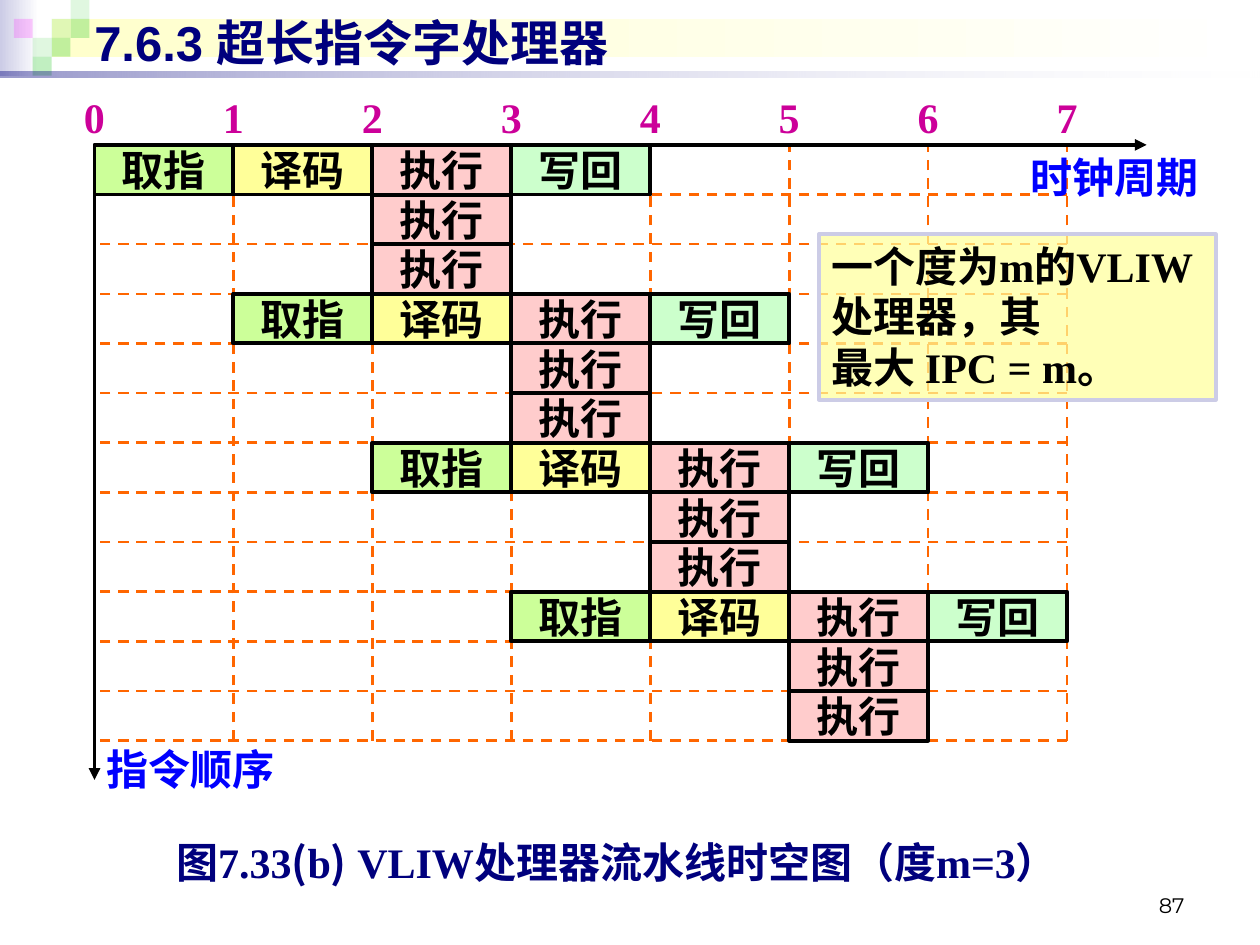
from dataclasses import dataclass

from lxml.etree import SubElement
from pptx import Presentation
from pptx.dml.color import RGBColor
from pptx.enum.dml import MSO_LINE
from pptx.enum.shapes import MSO_CONNECTOR, MSO_SHAPE
from pptx.enum.text import MSO_ANCHOR, PP_ALIGN
from pptx.oxml.ns import qn
from pptx.util import Pt


@dataclass(frozen=True)
class Theme:
    navy: str = "00007D"
    black: str = "000000"
    white: str = "FFFFFF"
    lavender: str = "CCCCE6"
    cream: str = "FFFFCC"
    green: str = "33CC33"
    magenta: str = "FF00FF"
    grid: str = "FF6600"
    cycle: str = "CC0099"
    axis_name: str = "0000FF"
    fetch: str = "CCFF99"
    decode: str = "FFFF99"
    execute: str = "FFCCCC"
    write_back: str = "CCFFCC"
    title_size: float = 28
    body_size: float = 24
    number_size: float = 12
    rule: float = 2.25
    grid_rule: float = 1.5
    serif: str = "Times New Roman"
    sans: str = "Arial"
    cjk: str = "Noto Sans CJK SC"
    number_font: str = "Montserrat"


THEME = Theme()

# Time-space grid: one column per clock cycle, one row per operation
LEFT, TOP = 54, 82.8
CYCLE, ROW = 79.4, 28.37
CYCLES, DEGREE, INSTRUCTIONS = 7, 3, 4
ROWS = DEGREE * INSTRUCTIONS
STAGES = [("取指", THEME.fetch), ("译码", THEME.decode),
          ("执行", THEME.execute), ("写回", THEME.write_back)]
EXECUTE = 2


def column_x(cycle):
    return LEFT + cycle * CYCLE


def row_y(row):
    return TOP + row * ROW


def style(paragraph, color, size=THEME.body_size, font=THEME.serif,
          bold=True, align=PP_ALIGN.LEFT):
    paragraph.alignment = align
    paragraph.font.name = font
    paragraph.font.size = Pt(size)
    paragraph.font.bold = bold
    paragraph.font.color.rgb = RGBColor.from_string(color)


def add_text(slide, box, text, color, anchor=MSO_ANCHOR.MIDDLE, wrap=True, **looks):
    frame = slide.shapes.add_textbox(*map(Pt, box)).text_frame
    frame.word_wrap = wrap
    frame.vertical_anchor = anchor
    paragraph = frame.paragraphs[0]
    paragraph.text = text
    style(paragraph, color, **looks)
    return paragraph


def set_opacity(color_element, percent):
    SubElement(color_element, qn("a:alpha")).set("val", str(percent * 1000))


def add_rect(slide, box, colors, opacities=(), outline=None):
    """Add a rectangle; two colours make a left-to-right gradient."""
    rect = slide.shapes.add_shape(MSO_SHAPE.RECTANGLE, *map(Pt, box))
    rect.shadow.inherit = False
    if len(colors) == 1:
        rect.fill.solid()
        rect.fill.fore_color.rgb = RGBColor.from_string(colors[0])
    else:
        rect.fill.gradient()
        rect.fill.gradient_angle = 0
        for stop, color in zip(rect.fill.gradient_stops, colors):
            stop.color.rgb = RGBColor.from_string(color)
    fill_colors = list(rect._element.spPr.iter(qn("a:srgbClr")))
    for color_element, percent in zip(fill_colors, opacities):
        set_opacity(color_element, percent)
    if outline:
        rect.line.color.rgb = RGBColor.from_string(outline)
        rect.line.width = Pt(THEME.rule)
    else:
        rect.line.fill.background()
    return rect


def add_line(slide, start, end, color, width, dashed=False, arrow=False):
    line = slide.shapes.add_connector(MSO_CONNECTOR.STRAIGHT, *map(Pt, start + end))
    line.line.color.rgb = RGBColor.from_string(color)
    line.line.width = Pt(width)
    if dashed:
        line.line.dash_style = MSO_LINE.DASH
    properties = line._element.spPr
    if arrow:
        SubElement(properties.find(qn("a:ln")), qn("a:tailEnd")).set("type", "triangle")
    SubElement(properties, qn("a:effectLst"))


def add_banner(slide):
    add_rect(slide, (0, 0, 22.3, 43.2), (THEME.lavender, THEME.white))
    add_rect(slide, (29.5, 10.8, 687.6, 21.6), (THEME.cream, THEME.white))
    side = 10.8
    tiles = [(2, 1, THEME.green, 15), (3, 0, THEME.green, 15), (3, 1, THEME.green, 30),
             (1, 2, THEME.green, 15), (0, 1, THEME.magenta, 20),
             (2, 2, THEME.green, 30), (1, 3, THEME.green, 30)]
    for column, row, color, opacity in tiles:
        add_rect(slide, (7.9 + column * side, row * side, side, side), (color,), (opacity,))
    add_rect(slide, (0, 41, 720, 3.6), (THEME.navy, THEME.white), (40, 10))
    add_text(slide, (46.8, 3.6, 648, 41), "7.6.3 超长指令字处理器", THEME.navy,
             size=THEME.title_size, font=THEME.sans)


def add_grid(slide):
    right, bottom = column_x(CYCLES), row_y(ROWS)
    for row in range(1, ROWS + 1):
        add_line(slide, (right, row_y(row)), (LEFT, row_y(row)),
                 THEME.grid, THEME.grid_rule, dashed=True)
    for cycle in range(1, CYCLES + 1):
        add_line(slide, (column_x(cycle), bottom), (column_x(cycle), TOP),
                 THEME.grid, THEME.grid_rule, dashed=True)


def add_axes(slide):
    for end in ((655.2, TOP), (LEFT, 445.7)):
        add_line(slide, (LEFT, TOP), end, THEME.black, THEME.rule, arrow=True)
    label = 33.8
    for cycle in range(CYCLES + 1):
        add_text(slide, (column_x(cycle) - label / 2, 49, label, label), str(cycle),
                 THEME.cycle, anchor=MSO_ANCHOR.TOP, wrap=False, align=PP_ALIGN.CENTER)
    add_text(slide, (564.5, 82.8, 127.4, 36), "时钟周期", THEME.axis_name,
             align=PP_ALIGN.RIGHT)
    add_text(slide, (54, 421.2, 118.8, 36), "指令顺序", THEME.axis_name)


def add_stage(slide, cycle, row, stage):
    name, color = STAGES[stage]
    cell = add_rect(slide, (column_x(cycle), row_y(row), CYCLE, ROW), (color,),
                    outline=THEME.black)
    frame = cell.text_frame
    frame.word_wrap = False
    frame.vertical_anchor = MSO_ANCHOR.MIDDLE
    frame.text = name
    style(frame.paragraphs[0], THEME.black, align=PP_ALIGN.CENTER)


def add_instruction(slide, index):
    """Add one long instruction: its four stages, then its parallel executions."""
    first_row = index * DEGREE
    for stage in range(len(STAGES)):
        add_stage(slide, index + stage, first_row, stage)
    for operation in range(1, DEGREE):
        add_stage(slide, index + EXECUTE, first_row + operation, EXECUTE)


def add_note(slide):
    note = add_rect(slide, (468, 133.9, 226.8, 94.5), (THEME.decode,), (70,),
                    outline=THEME.lavender)
    frame = note.text_frame
    frame.word_wrap = True
    frame.vertical_anchor = MSO_ANCHOR.TOP
    frame.text = "一个度为m的VLIW处理器，其\v最大 IPC = m。"
    style(frame.paragraphs[0], THEME.black)


def add_caption(slide):
    caption = add_text(slide, (93.6, 474.5, 526.3, 36), "", THEME.navy)
    for text, font in [("图7.33", THEME.serif), ("(", THEME.cjk), ("b", THEME.serif),
                       (")", THEME.cjk), (" VLIW处理器流水线时空图（度m=3）", THEME.serif)]:
        run = caption.add_run()
        run.text = text
        run.font.name = font


def main():
    deck = Presentation()
    deck.slide_width, deck.slide_height = Pt(720), Pt(540)
    slide = deck.slides.add_slide(deck.slide_layouts[6])
    add_banner(slide)
    add_text(slide, (516.2, 491.8, 167.8, 36), "87", THEME.black, anchor=MSO_ANCHOR.BOTTOM,
             size=THEME.number_size, font=THEME.number_font, bold=False,
             align=PP_ALIGN.RIGHT)
    add_grid(slide)
    add_axes(slide)
    for index in range(INSTRUCTIONS):
        add_instruction(slide, index)
    add_note(slide)
    add_caption(slide)
    deck.save("out.pptx")


if __name__ == "__main__":
    main()
